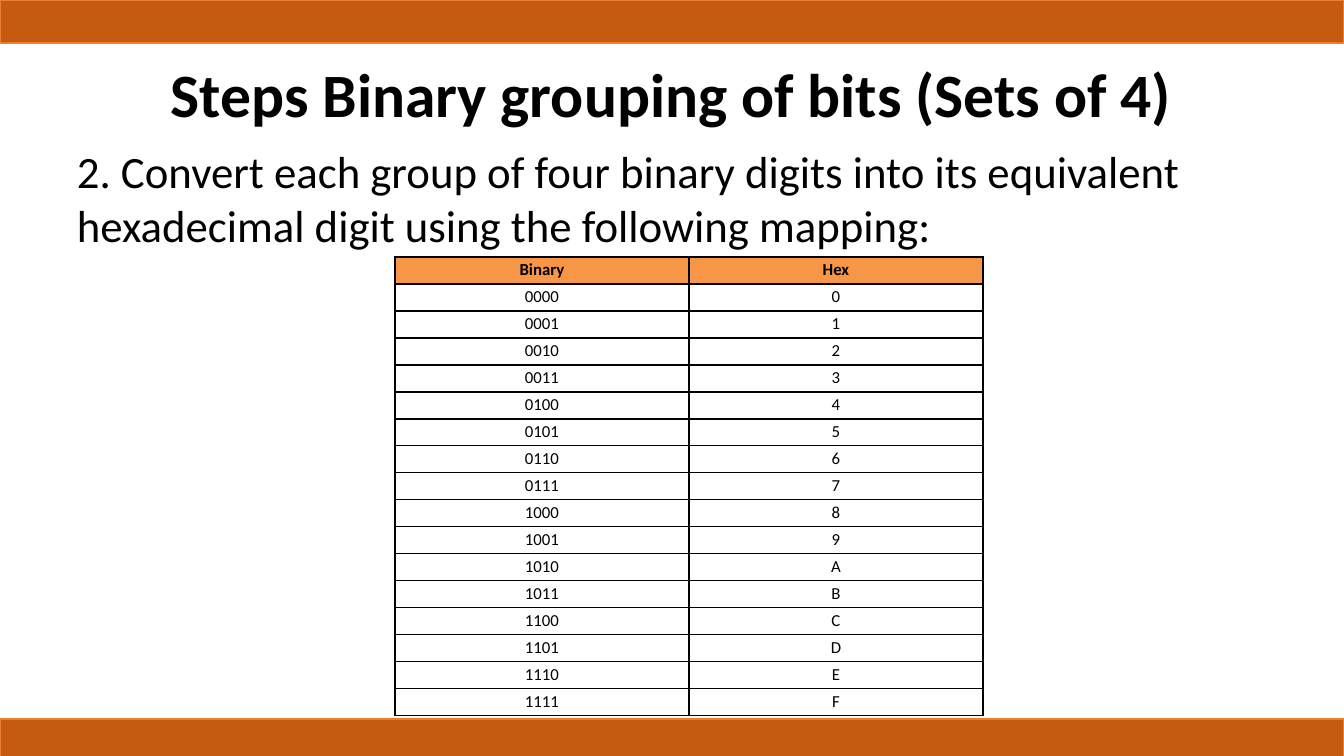
from lxml.etree import SubElement
from pptx import Presentation
from pptx.dml.color import RGBColor
from pptx.enum.shapes import MSO_SHAPE
from pptx.enum.text import MSO_ANCHOR, PP_ALIGN
from pptx.oxml.ns import qn
from pptx.util import Emu, Pt

EMU_PER_PX = 914400 / 100.8
SLIDE_WIDTH, SLIDE_HEIGHT = 1344, 756
BLACK, HEADER_ORANGE = "000000", "F79646"
BAR_FILL, BAR_EDGE = "C55A11", "ED7D31"


def px(length):
    """Turn pixels into EMU."""
    return Emu(round(length * EMU_PER_PX))


def colour(hex_code):
    """Turn a hex string into a colour."""
    return RGBColor.from_string(hex_code)


def write(frame, words, size, bold=False, align=PP_ALIGN.LEFT):
    """Put one formatted paragraph into a text frame."""
    paragraph = frame.paragraphs[0]
    paragraph.alignment = align
    run = paragraph.add_run()
    run.text = words
    for key, value in {"name": "Calibri", "size": Pt(size), "bold": bold}.items():
        setattr(run.font, key, value)
    run.font.color.rgb = colour(BLACK)


def add_text(slide, box, words, size, anchor=MSO_ANCHOR.TOP, **style):
    """Add a wrapping text box."""
    frame = slide.shapes.add_textbox(*map(px, box)).text_frame
    for key, value in {"word_wrap": True, "vertical_anchor": anchor}.items():
        setattr(frame, key, value)
    write(frame, words, size, **style)


def add_bar(slide, top):
    """Add a full-width orange bar."""
    bar = slide.shapes.add_shape(
        MSO_SHAPE.RECTANGLE, *map(px, (0, top, SLIDE_WIDTH, 43)))
    bar.shadow.inherit = False
    bar.fill.solid()
    bar.fill.fore_color.rgb = colour(BAR_FILL)
    bar.line.color.rgb = colour(BAR_EDGE)
    bar.line.width = Pt(1)


def add_borders(cell):
    """Draw a thin black line on each side of a cell."""
    properties = cell._tc.get_or_add_tcPr()
    for position, side in enumerate(("lnL", "lnR", "lnT", "lnB")):
        edge = properties.makeelement(qn(f"a:{side}"), {"w": str(Pt(1))})
        properties.insert(position, edge)
        fill = SubElement(edge, qn("a:solidFill"))
        SubElement(fill, qn("a:srgbClr"), val=BLACK)


def fill_cell(cell, words, is_header):
    """Format one table cell and write its text."""
    margins = {"margin_left": 7, "margin_right": 7,
               "margin_top": 3, "margin_bottom": 3}
    for key, value in margins.items():
        setattr(cell, key, px(value))
    if is_header:
        cell.fill.solid()
        cell.fill.fore_color.rgb = colour(HEADER_ORANGE)
    else:
        cell.fill.background()
    add_borders(cell)
    write(cell.text_frame, words, 12, is_header, PP_ALIGN.CENTER)


def add_mapping(slide, left, top, column_width, row_height):
    """Add the table of binary groups and hexadecimal digits."""
    mapping = [("Binary", "Hex")] + [(f"{n:04b}", f"{n:X}") for n in range(16)]
    table = slide.shapes.add_table(
        len(mapping), 2, px(left), px(top),
        px(2 * column_width), px(len(mapping) * row_height)).table
    for flag in ("first_row", "horz_banding"):
        setattr(table, flag, False)
    for row_index, pair in enumerate(mapping):
        table.rows[row_index].height = px(row_height)
        for column_index, words in enumerate(pair):
            fill_cell(table.cell(row_index, column_index), words, row_index == 0)


def main():
    """Build the slide and save it."""
    deck = Presentation()
    deck.slide_width, deck.slide_height = px(SLIDE_WIDTH), px(SLIDE_HEIGHT)
    slide = deck.slides.add_slide(deck.slide_layouts[6])
    add_text(slide, (67, 30, 1210, 126), "Steps Binary grouping of bits (Sets of 4)",
             44, MSO_ANCHOR.MIDDLE, bold=True, align=PP_ALIGN.CENTER)
    add_text(slide, (67, 139, 1210, 126),
             "2. Convert each group of four binary digits into its equivalent "
             "hexadecimal digit using the following mapping:", 32)
    add_mapping(slide, 395, 257, 294, 27)
    for top in (0, 719):
        add_bar(slide, top)
    deck.save("out.pptx")


if __name__ == "__main__":
    main()
